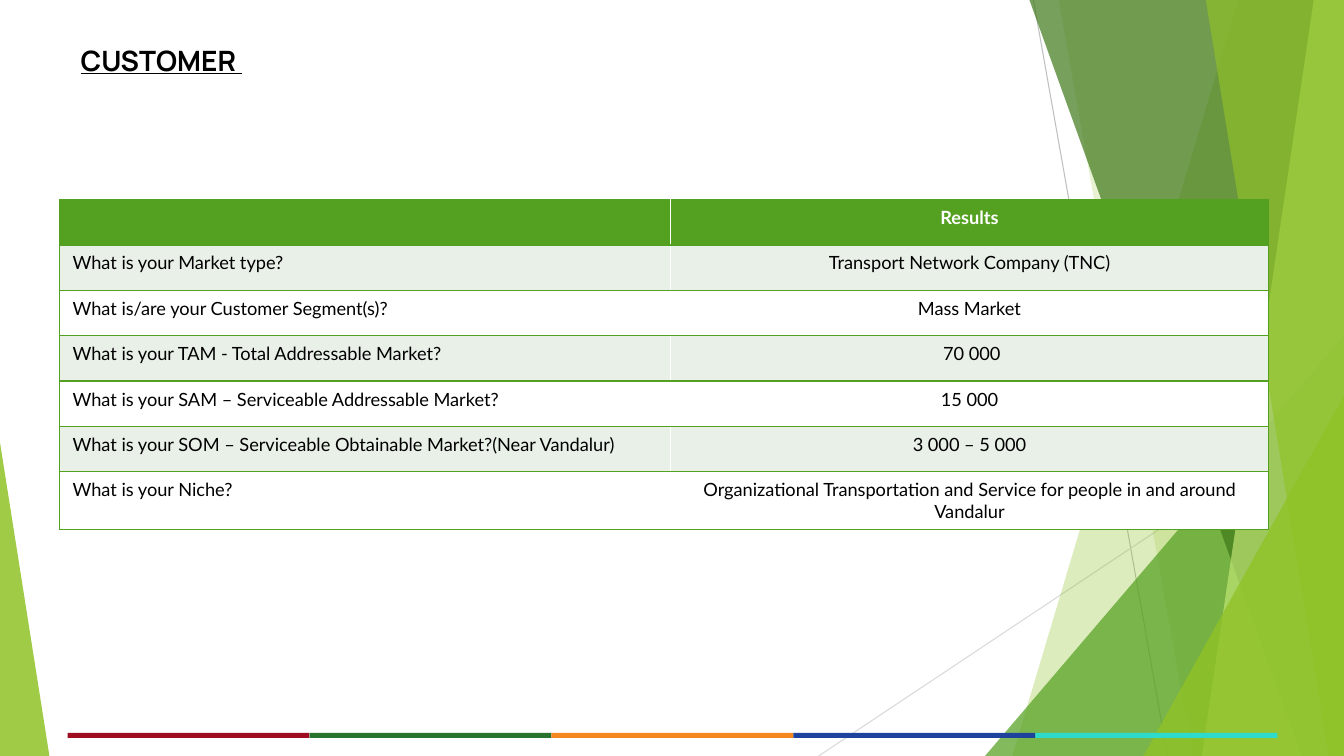
from lxml import etree
from pptx import Presentation
from pptx.dml.color import RGBColor
from pptx.enum.shapes import MSO_CONNECTOR, MSO_SHAPE
from pptx.enum.text import MSO_ANCHOR, PP_ALIGN
from pptx.oxml.ns import qn
from pptx.util import Inches, Pt

STRAIGHT = MSO_CONNECTOR.STRAIGHT
TRIANGLE = MSO_SHAPE.ISOSCELES_TRIANGLE
RECTANGLE = MSO_SHAPE.RECTANGLE
MIDDLE, TOP = MSO_ANCHOR.MIDDLE, MSO_ANCHOR.TOP
LEFT, CENTER = PP_ALIGN.LEFT, PP_ALIGN.CENTER

BLACK = RGBColor(0x00, 0x00, 0x00)
WHITE = RGBColor(0xFF, 0xFF, 0xFF)
GREEN = RGBColor(0x54, 0xA0, 0x21)
LIME = RGBColor(0x90, 0xC2, 0x26)
FOREST = RGBColor(0x3F, 0x78, 0x19)
PALE_LIME = RGBColor(0xC0, 0xE4, 0x74)
PALE_BAND = RGBColor(0xE9, 0xF0, 0xE8)
GRAY = RGBColor(0xBF, 0xBF, 0xBF)
LIGHT_GRAY = RGBColor(0xD9, 0xD9, 0xD9)
STRIPE_COLORS = (
    RGBColor(0x9E, 0x0D, 0x20),
    RGBColor(0x28, 0x74, 0x2E),
    RGBColor(0xF6, 0x86, 0x1F),
    RGBColor(0x1D, 0x43, 0x9C),
    RGBColor(0x2E, 0xDA, 0xCC),
)

WIDTH, HEIGHT = 13.33, 7.5
ROW_HEIGHT, LAST_ROW_HEIGHT = 0.45, 0.56
COLUMN_WIDTHS = (6.06, 5.93)
STRIPE_WIDTH = 2.4

ROWS = (
    ("", "Results"),
    ("What is your Market type?", "Transport Network Company (TNC)"),
    ("What is/are your Customer Segment(s)?", "Mass Market"),
    ("What is your TAM - Total Addressable Market?", " 70 000"),
    ("What is your SAM – Serviceable Addressable Market?", "15 000"),
    ("What is your SOM – Serviceable Obtainable Market?(Near Vandalur)", "3 000 – 5 000"),
    ("What is your Niche?",
     "Organizational Transportation and Service for people in and around Vandalur"),
)


def paint(shape, color, opacity=100):
    """Give a shape a flat fill without outline or shadow."""
    shape.shadow.inherit = False
    shape.fill.solid()
    shape.fill.fore_color.rgb = color
    shape.line.fill.background()
    if opacity < 100:
        tint = shape.fill._xPr.find(".//" + qn("a:srgbClr"))
        etree.SubElement(tint, qn("a:alpha"), val=str(opacity * 1000))


def add_ray(slide, start, end, color):
    """Draw a thin straight line."""
    ray = slide.shapes.add_connector(STRAIGHT, *map(Inches, start + end))
    ray.line.color.rgb = color
    ray.line.width = Pt(0.75)
    etree.SubElement(ray._element.spPr, qn("a:effectLst"))


def add_shard(slide, top_x, bottom_x, color, opacity):
    """Fill from a slanted edge to the right side of the slide."""
    corners = ((WIDTH, 0), (WIDTH, HEIGHT), (bottom_x, HEIGHT))
    outline = slide.shapes.build_freeform(Inches(top_x), 0)
    outline.add_line_segments([(Inches(x), Inches(y)) for x, y in corners])
    paint(outline.convert_to_shape(), color, opacity)


def add_corner(slide, left, top, width, apex, color, opacity):
    """Draw a right triangle standing on the bottom of the slide."""
    corner = slide.shapes.add_shape(
        TRIANGLE, Inches(left), Inches(top), Inches(width), Inches(HEIGHT - top))
    corner.adjustments[0] = apex
    paint(corner, color, opacity)


def add_background(slide):
    """Draw the layered green facets and the lines behind them."""
    add_ray(slide, (10.25, 0), (11.58, HEIGHT), GRAY)
    add_ray(slide, (WIDTH, 4.03), (8.12, HEIGHT), LIGHT_GRAY)
    add_shard(slide, 12.28, 10.04, LIME, 30)
    add_shard(slide, 10.5, 11.83, LIME, 20)
    add_corner(slide, 9.77, 3.33, 3.56, 1, GREEN, 72)
    add_shard(slide, 10.21, 12.91, FOREST, 70)
    add_shard(slide, 13.03, 11.92, PALE_LIME, 70)
    add_shard(slide, 11.96, 13.18, LIME, 65)
    add_corner(slide, 11.34, 3.93, 1.99, 1, LIME, 80)
    add_corner(slide, 0, 4.39, 0.49, 0, LIME, 85)


def add_stripes(slide):
    """Draw the row of coloured stripes at the bottom."""
    for index, color in enumerate(STRIPE_COLORS):
        stripe = slide.shapes.add_shape(
            RECTANGLE, Inches(0.67 + index * STRIPE_WIDTH), Inches(7.27),
            Inches(STRIPE_WIDTH), Inches(0.05))
        paint(stripe, color)


def set_margins(holder):
    """Apply the shared inner margins to a cell or text frame."""
    holder.margin_left = holder.margin_right = Inches(0.13)
    holder.margin_top = holder.margin_bottom = Inches(0.07)


def format_text(paragraph, font_name, size, color, bold, alignment):
    """Align a paragraph and format its runs."""
    paragraph.alignment = alignment
    for font in [paragraph.font] + [run.font for run in paragraph.runs]:
        font.name = font_name
        font.size = Pt(size)
        font.bold = bold
        font.color.rgb = color


def set_title(slide, text):
    """Place and format the underlined title."""
    title = slide.shapes.title
    title.left, title.top = Inches(0.67), Inches(0.36)
    title.width, title.height = Inches(11.5), Inches(0.48)
    frame = title.text_frame
    frame.text = text
    frame.vertical_anchor = MIDDLE
    set_margins(frame)
    format_text(frame.paragraphs[0], "Manrope", 20, BLACK, True, LEFT)
    frame.paragraphs[0].runs[0].font.underline = True


def set_borders(cell, sides):
    """Draw green borders on the given sides of a cell."""
    properties = cell._tc.get_or_add_tcPr()
    for side in sides:
        border = etree.SubElement(properties, qn("a:ln" + side), w=str(Pt(1)))
        fill = etree.SubElement(border, qn("a:solidFill"))
        etree.SubElement(fill, qn("a:srgbClr"), val=str(GREEN))


def add_results_table(slide):
    """Build the table of market questions and results."""
    height = ROW_HEIGHT * (len(ROWS) - 1) + LAST_ROW_HEIGHT
    table = slide.shapes.add_table(
        len(ROWS), len(COLUMN_WIDTHS), Inches(0.59), Inches(1.98),
        Inches(sum(COLUMN_WIDTHS)), Inches(height)).table
    for column, width in zip(table.columns, COLUMN_WIDTHS):
        column.width = Inches(width)
    for row in table.rows:
        row.height = Inches(ROW_HEIGHT)
    table.rows[len(ROWS) - 1].height = Inches(LAST_ROW_HEIGHT)
    for row_index, texts in enumerate(ROWS):
        is_header = row_index == 0
        band = GREEN if is_header else (WHITE, PALE_BAND)[row_index % 2]
        for column_index, text in enumerate(texts):
            cell = table.cell(row_index, column_index)
            set_borders(cell, "RTB" if column_index else "LTB")
            cell.fill.solid()
            cell.fill.fore_color.rgb = band
            cell.vertical_anchor = TOP
            set_margins(cell)
            cell.text_frame.text = text
            format_text(cell.text_frame.paragraphs[0], "Lato", 13,
                        WHITE if is_header else BLACK, is_header,
                        CENTER if column_index else LEFT)


def main():
    """Build the customer slide and save it."""
    presentation = Presentation()
    presentation.slide_width = Inches(WIDTH)
    presentation.slide_height = Inches(HEIGHT)
    slide = presentation.slides.add_slide(presentation.slide_layouts[5])
    add_background(slide)
    add_stripes(slide)
    set_title(slide, "CUSTOMER ")
    add_results_table(slide)
    presentation.save("out.pptx")


if __name__ == "__main__":
    main()
